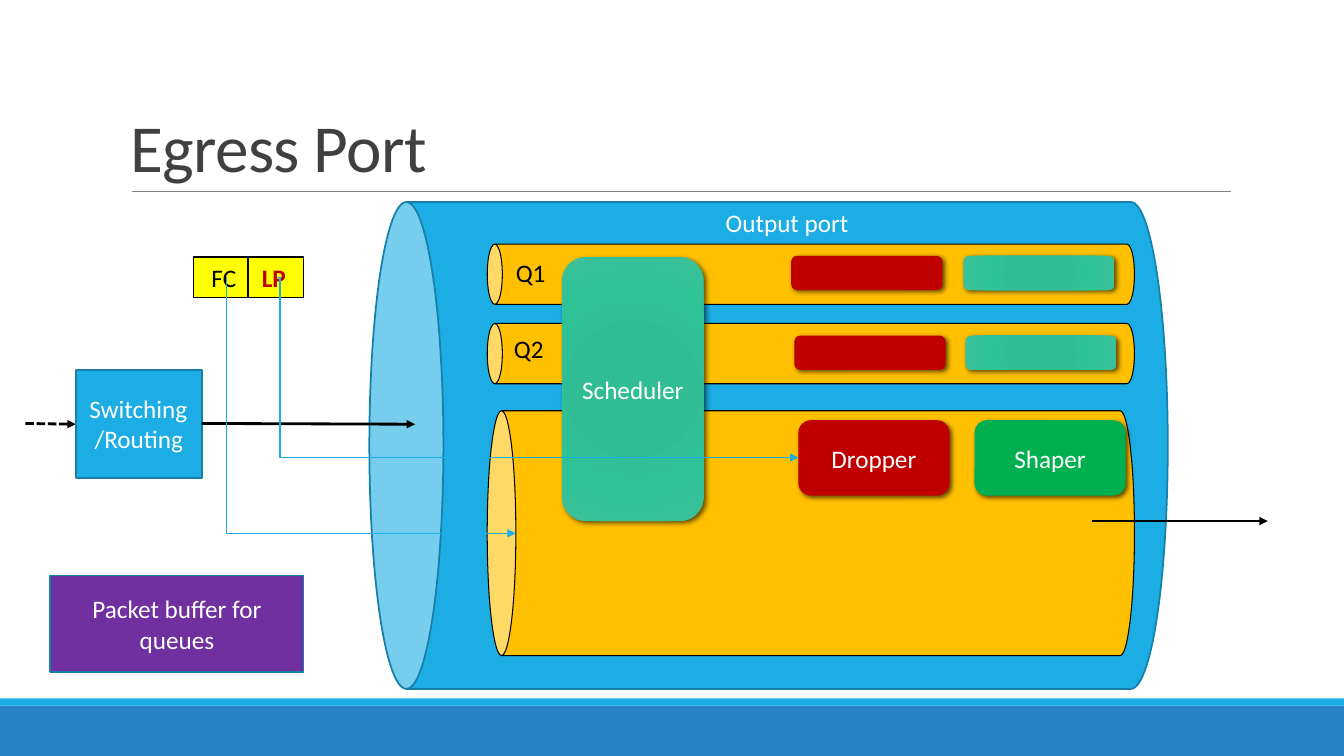
from dataclasses import dataclass

from lxml import etree
from pptx import Presentation
from pptx import util as u
from pptx.dml.color import RGBColor
from pptx.enum import dml, shapes, text
from pptx.oxml import parse_xml
from pptx.oxml.ns import nsdecls, qn


@dataclass(frozen=True)
class Theme:
    font: str = "Calibri"
    title_size: int = 48
    body_size: int = 18
    title: str = "404040"
    rule: str = "808080"
    footer: str = "2683C6"
    blue: str = "1CADE4"
    blue_edge: str = "1580A9"
    queue: str = "FFC000"
    red: str = "C00000"
    green: str = "00B050"
    purple: str = "7030A0"
    header: str = "FFFF00"
    black: str = "000000"
    white: str = "FFFFFF"
    teal: tuple = ((0, "2DBE94"), (34, "30BD94"), (70, "2EC397"), (100, "3CC09A"))


THEME = Theme()
KIND = shapes.MSO_SHAPE


def rgb(value):
    return RGBColor.from_string(value)


def cm(*lengths):
    return [u.Cm(length) for length in lengths]


def style_font(font, color, size=THEME.body_size):
    font.name = THEME.font
    font.size = u.Pt(size)
    font.color.rgb = rgb(color)


def write(shape, words, color=THEME.white, anchor=text.MSO_ANCHOR.MIDDLE,
          align=text.PP_ALIGN.CENTER, size=THEME.body_size, wrap=True):
    frame = shape.text_frame
    frame.word_wrap = wrap
    frame.vertical_anchor = anchor
    paragraph = frame.paragraphs[0]
    paragraph.text = words
    paragraph.alignment = align
    style_font(paragraph.font, color, size)
    return paragraph


def add_block(slide, kind, box, fill, edge=None, width=1.25):
    block = slide.shapes.add_shape(kind, *cm(*box))
    block.shadow.inherit = False
    block.fill.solid()
    block.fill.fore_color.rgb = rgb(fill)
    if edge:
        block.line.color.rgb = rgb(edge)
        block.line.width = u.Pt(width)
    else:
        block.line.fill.background()
    return block


def add_pipe(slide, box, fill, edge, width, rim=0.25):
    left, top, length, bore = box
    shift = (length - bore) / 2
    pipe = add_block(slide, KIND.CAN, (left + shift, top - shift, bore, length), fill, edge, width)
    pipe.rotation = 270
    pipe.adjustments[0] = rim
    return pipe


def fill_teal(block):
    stops = "".join(f'<a:gs pos="{place * 1000}"><a:srgbClr val="{color}"/></a:gs>'
                    for place, color in THEME.teal)
    gradient = parse_xml(
        f'<a:gradFill {nsdecls("a")} rotWithShape="1"><a:gsLst>{stops}</a:gsLst>'
        '<a:path path="circle"><a:fillToRect l="100000" t="100000" r="100000" b="100000"/>'
        '</a:path></a:gradFill>')
    properties = block._element.spPr
    properties.replace(properties.find(qn("a:solidFill")), gradient)


def add_stage(slide, box, fill=None, label=None):
    stage = add_block(slide, KIND.ROUNDED_RECTANGLE, box, fill or THEME.teal[0][1])
    if fill is None:
        fill_teal(stage)
    stage._element.spPr.find(qn("a:effectLst")).append(parse_xml(
        f'<a:outerShdw {nsdecls("a")} blurRad="{u.Pt(3.5)}" dist="{u.Pt(2)}" dir="2700000">'
        f'<a:srgbClr val="{THEME.black}"><a:alpha val="60000"/></a:srgbClr></a:outerShdw>'))
    if label:
        write(stage, label)


def add_line(slide, ends, color, width, arrow=False, dash=None, bend=None):
    kind = shapes.MSO_CONNECTOR.STRAIGHT if bend is None else shapes.MSO_CONNECTOR.ELBOW
    line = slide.shapes.add_connector(kind, *cm(*ends))
    line.line.color.rgb = rgb(color)
    line.line.width = u.Pt(width)
    if dash:
        line.line.dash_style = dash
    properties = line._element.spPr
    if arrow:
        etree.SubElement(properties.find(qn("a:ln")), qn("a:tailEnd"), type="triangle")
    if bend is not None:
        guides = properties.find(qn("a:prstGeom")).get_or_add_avLst()
        etree.SubElement(guides, qn("a:gd"), name="adj1", fmla=f"val {round(bend * 100000)}")
    etree.SubElement(properties, qn("a:effectLst"))


def add_title(slide, words):
    title = slide.shapes.add_textbox(*cm(3.05, 0.79, 27.94, 4.04))
    paragraph = write(title, words, THEME.title, text.MSO_ANCHOR.BOTTOM,
                      text.PP_ALIGN.LEFT, THEME.title_size)
    paragraph.line_spacing = 0.85
    paragraph.runs[0]._r.get_or_add_rPr().set("spc", "-50")


def add_packet_header(slide):
    header = add_block(slide, KIND.RECTANGLE, (4.88, 6.48, 2.77, 1.02), THEME.header, THEME.black)
    frame = header.text_frame
    frame.word_wrap = True
    frame.vertical_anchor = text.MSO_ANCHOR.MIDDLE
    paragraph = frame.paragraphs[0]
    paragraph.alignment = text.PP_ALIGN.LEFT
    properties = paragraph._p.get_or_add_pPr()
    properties.set("marL", str(u.Cm(0.2)))
    properties.set("indent", "0")
    tabs = etree.SubElement(properties, qn("a:tabLst"))
    etree.SubElement(tabs, qn("a:tab"), pos=str(u.Cm(1.42)), algn="l")
    style_font(paragraph.font, THEME.black)
    for words, color, bold in (("FC\t", THEME.black, False), ("LP", THEME.red, True)):
        run = paragraph.add_run()
        run.text = words
        style_font(run.font, color)
        run.font.bold = bold
    add_line(slide, (6.25, 6.48, 6.25, 7.5), THEME.black, 1)


def add_queue_label(slide, left, top, words):
    label = slide.shapes.add_textbox(*cm(left, top, 1.27, 1.02))
    write(label, words, THEME.black, text.MSO_ANCHOR.TOP, text.PP_ALIGN.LEFT, wrap=False)


def main():
    deck = Presentation()
    deck.slide_width, deck.slide_height = cm(33.87, 19.05)
    slide = deck.slides.add_slide(deck.slide_layouts[6])

    add_block(slide, KIND.RECTANGLE, (0, 17.78, 33.87, 1.27), THEME.footer)
    add_block(slide, KIND.RECTANGLE, (0, 17.6, 33.87, 0.18), THEME.blue)
    add_line(slide, (3.33, 4.83, 31.01, 4.83), THEME.rule, 0.5)

    port = add_pipe(slide, (9.31, 5.09, 20.12, 12.27), THEME.blue, THEME.blue_edge, 1.25, 0.152)
    write(port, "Output port", anchor=text.MSO_ANCHOR.TOP)
    port.text_frame._txBody.bodyPr.set("vert", "vert")
    add_title(slide, "Egress Port")

    add_line(slide, (0.64, 10.67, 1.91, 10.69), THEME.black, 2, True, dml.MSO_LINE.SQUARE_DOT)
    switching = add_block(slide, KIND.RECTANGLE, (1.91, 9.32, 3.18, 2.72),
                          THEME.blue, THEME.blue_edge)
    write(switching, "Switching/Routing")
    add_line(slide, (5.08, 10.67, 10.46, 10.69), THEME.black, 2, True)

    for top, bore, rim in ((10.35, 6.17, 0.117), (6.15, 1.52, 0.25), (8.15, 1.52, 0.25)):
        add_pipe(slide, (12.28, top, 16.31, bore), THEME.queue, THEME.black, 0.75, rim)
    add_stage(slide, (24.56, 10.59, 3.81, 1.9), THEME.green, "Shaper")
    add_stage(slide, (20.12, 10.59, 3.81, 1.9), THEME.red, "Dropper")
    add_queue_label(slide, 12.75, 6.35, "Q1")
    add_queue_label(slide, 12.7, 8.28, "Q2")
    add_packet_header(slide)

    add_stage(slide, (14.17, 6.48, 3.56, 6.65), label="Scheduler")
    for top, shaper, dropper in ((6.45, 24.28, 19.94), (8.46, 24.33, 20.02)):
        add_stage(slide, (shaper, top, 3.81, 0.86))
        add_stage(slide, (dropper, top, 3.81, 0.86), THEME.red)

    add_line(slide, (27.51, 13.13, 31.95, 13.13), THEME.black, 2, True)
    add_line(slide, (5.72, 6.99, 13, 13.44), THEME.blue, 1, True, bend=-0.002)
    add_line(slide, (6.99, 6.99, 20.12, 11.53), THEME.blue, 1, True, bend=0.005)
    packet_buffer = add_block(slide, KIND.RECTANGLE, (1.27, 14.5, 6.38, 2.44),
                              THEME.purple, THEME.blue_edge)
    write(packet_buffer, "Packet buffer for queues")

    deck.save("out.pptx")


if __name__ == "__main__":
    main()
